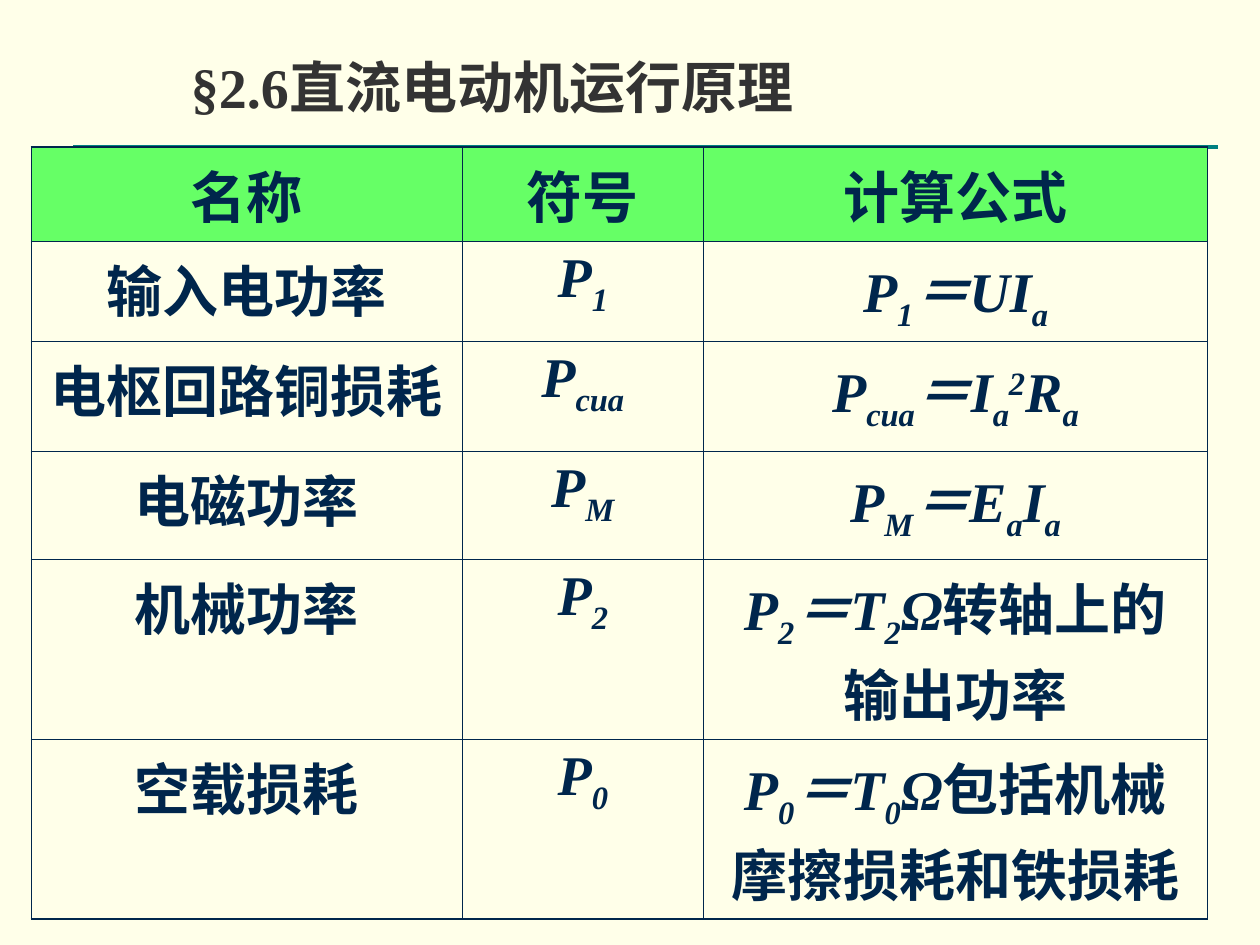
import dataclasses

import lxml.etree
import pptx
import pptx.dml.color
import pptx.enum.lang
import pptx.enum.shapes
import pptx.enum.text
import pptx.oxml.ns
import pptx.util

Pt = pptx.util.Pt
Align = pptx.enum.text.PP_ALIGN


@dataclasses.dataclass(frozen=True)
class Theme:
    paper: str = "FFFFE9"
    header: str = "66FF66"
    title: str = "333333"
    ink: str = "00264C"
    rule: str = "008080"
    font: str = "Times New Roman"
    size: float = 32
    rule_width: float = 2.5
    outer_border: float = 1.08
    inner_border: float = 0.45


THEME = Theme()
COLUMN_WIDTHS = (246, 138, 288)
# The last two rows hold two lines of text
ROW_HEIGHTS = (53.7, 57.2, 62.9, 61.7, 102.9, 102.9)
HEADINGS = ("名称", "符号", "计算公式")

# Spans are split by "|": "_" lowers, "^" raises, "~" sets upright text
POWERS = (
    ("输入电功率", "P|_1", "P|_1|＝UI|_a"),
    ("电枢回路铜损耗", "P|_cua", "P|_cua|＝I|_a|^2|R|_a"),
    ("电磁功率", "P|_M", "P|_M|＝E|_a|I|_a"),
    ("机械功率", "P|_2", "P|_2|＝T|_2|Ω|~转轴上的输出功率"),
    ("空载损耗", "P|_0", "P|_0|＝T|_0|Ω|~包括机械摩擦损耗和铁损耗"),
)
BASELINES = {"_": "-25000", "^": "30000"}


def rgb(value):
    return pptx.dml.color.RGBColor.from_string(value)


def add_span(para, text, color, italic=False, baseline=None):
    span = para.add_run()
    span.text = text
    formats = {
        "name": THEME.font,
        "size": Pt(THEME.size),
        "bold": True,
        "italic": italic,
        "language_id": pptx.enum.lang.MSO_LANGUAGE_ID.SIMPLIFIED_CHINESE,
    }
    for name, value in formats.items():
        setattr(span.font, name, value)
    span.font.color.rgb = rgb(color)
    if baseline:
        span._r.get_or_add_rPr().set("baseline", baseline)


def add_formula(para, formula):
    for part in formula.split("|"):
        mark = part[0] if part[0] in "_^~" else ""
        add_span(para, part[len(mark):], THEME.ink,
                 italic=mark != "~", baseline=BASELINES.get(mark))


def add_title(page, text, left, top, width, height):
    box = page.shapes.add_textbox(Pt(left), Pt(top), Pt(width), Pt(height))
    frame = box.text_frame
    frame.word_wrap = True
    frame.vertical_anchor = pptx.enum.text.MSO_ANCHOR.BOTTOM
    add_span(frame.paragraphs[0], text, THEME.title)


def add_rule(page, left, right, y):
    rule = page.shapes.add_connector(
        pptx.enum.shapes.MSO_CONNECTOR.STRAIGHT,
        Pt(left), Pt(y), Pt(right), Pt(y))
    rule.line.color.rgb = rgb(THEME.rule)
    rule.line.width = Pt(THEME.rule_width)
    lxml.etree.SubElement(rule._element.spPr, pptx.oxml.ns.qn("a:effectLst"))


def set_borders(cell, widths):
    # Border elements come before the fill, in the order of widths
    qn = pptx.oxml.ns.qn
    properties = cell._tc.get_or_add_tcPr()
    for index, (side, width) in enumerate(widths.items()):
        line = lxml.etree.Element(qn("a:ln" + side), w=str(int(Pt(width))))
        fill = lxml.etree.SubElement(line, qn("a:solidFill"))
        lxml.etree.SubElement(fill, qn("a:srgbClr"), val=THEME.ink)
        properties.insert(index, line)


def add_power_table(page, left, top):
    rows = (HEADINGS,) + POWERS
    last_row, last_column = len(rows) - 1, len(HEADINGS) - 1
    table = page.shapes.add_table(
        len(rows), len(HEADINGS), Pt(left), Pt(top),
        Pt(sum(COLUMN_WIDTHS)), Pt(sum(ROW_HEIGHTS))).table
    table.first_row = table.horz_banding = False
    for column, width in zip(table.columns, COLUMN_WIDTHS):
        column.width = Pt(width)
    for row, height in zip(table.rows, ROW_HEIGHTS):
        row.height = Pt(height)

    for r, texts in enumerate(rows):
        for c, text in enumerate(texts):
            cell = table.cell(r, c)
            cell.fill.solid()
            cell.fill.fore_color.rgb = rgb(THEME.paper if r else THEME.header)
            para = cell.text_frame.paragraphs[0]
            para.alignment = Align.CENTER
            if r and c:
                add_formula(para, text)
            else:
                add_span(para, text, THEME.ink)
            edges = {"L": c == 0, "R": c == last_column,
                     "T": r == 0, "B": r == last_row}
            set_borders(cell, {
                side: THEME.outer_border if outer else THEME.inner_border
                for side, outer in edges.items()})


def main():
    deck = pptx.Presentation()
    deck.slide_width, deck.slide_height = Pt(720), Pt(540)
    page = deck.slides.add_slide(deck.slide_layouts[6])
    page.background.fill.solid()
    page.background.fill.fore_color.rgb = rgb(THEME.paper)

    # Heading with its rule
    add_rule(page, 42, 696, 84)
    add_title(page, "§2.6直流电动机运行原理", 102, 24, 600, 48)

    # Powers, symbols and formulas
    add_power_table(page, 18, 84)

    deck.save("out.pptx")


if __name__ == "__main__":
    main()
